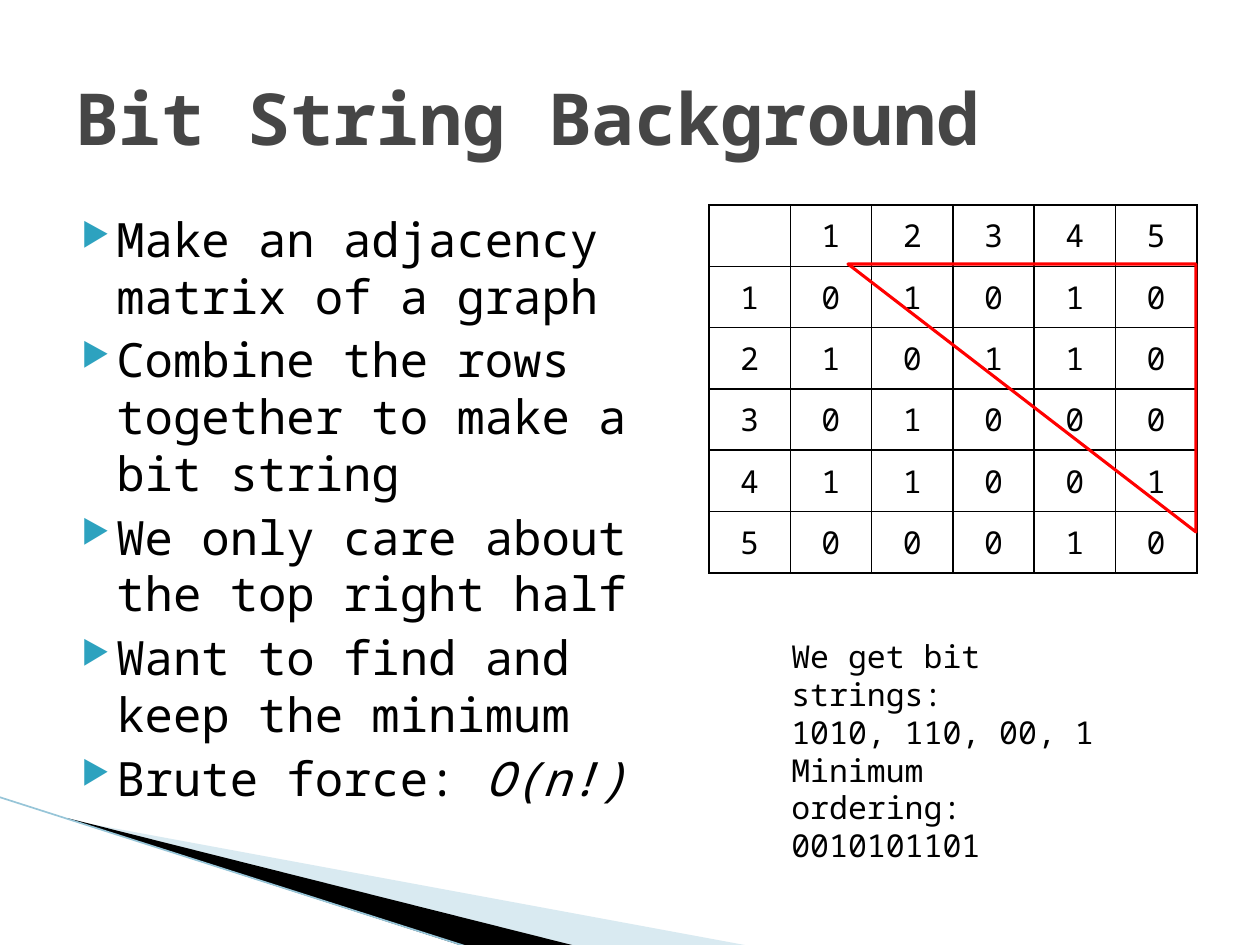
"""Build the slide about bit strings of an adjacency matrix."""
from lxml import etree
from pptx import Presentation
from pptx.dml.color import RGBColor
from pptx.enum.shapes import MSO_CONNECTOR, MSO_SHAPE
from pptx.enum.text import MSO_ANCHOR, PP_ALIGN
from pptx.oxml.ns import qn
from pptx.util import Pt

PX = 914400 // 126
FONT = "Noto Sans Mono"
MIDDLE, TOP = MSO_ANCHOR.MIDDLE, MSO_ANCHOR.TOP
CENTER, LEFT = PP_ALIGN.CENTER, PP_ALIGN.LEFT
COLORS = {"title": "464646", "text": "000000", "bullet": "2DA2BF", "pale": "A0CBDC",
          "edge": "97C5D8", "grid": "000000", "half": "FF0000"}


def color(name):
    return RGBColor.from_string(COLORS[name])


def write(frame, paragraphs, size=18, fill="text", bold=False, align=LEFT,
          anchor=TOP, bulleted=False):
    frame.word_wrap = True
    frame.vertical_anchor = anchor
    for index, runs in enumerate(paragraphs):
        paragraph = frame.paragraphs[0] if index == 0 else frame.add_paragraph()
        paragraph.alignment = align
        for position, words in enumerate(runs):
            run = paragraph.add_run()
            run.text = words
            run.font.name, run.font.size = FONT, Pt(size)
            run.font.bold, run.font.italic = bold, position == 1
            run.font.color.rgb = color(fill)
        if bulleted:
            paragraph.space_before = Pt(4)
            props = paragraph._p.get_or_add_pPr()
            props.set("marL", str(50 * PX))
            props.set("indent", str(-35 * PX))
            tint = etree.SubElement(props, qn("a:buClr"))
            etree.SubElement(tint, qn("a:srgbClr"), val=COLORS["bullet"])
            etree.SubElement(props, qn("a:buSzPct"), val="68000")
            etree.SubElement(props, qn("a:buChar"), char="▶")


prs = Presentation()
prs.slide_width, prs.slide_height = 1260 * PX, 945 * PX
slide = prs.slides.add_slide(prs.slide_layouts[6])
shapes = slide.shapes

WEDGES = [
    ("pale", 40, [(69, 820), (750, 946), (575, 946), (69, 819)]),
    ("text", 100, [(67, 818), (576, 946), (469, 948), (68, 819)]),
]
for fill, opacity, points in WEDGES:
    outline = shapes.build_freeform(*points[0], scale=PX)
    outline.add_line_segments(points[1:], close=True)
    wedge = outline.convert_to_shape()
    wedge.shadow.inherit = False
    wedge.fill.solid()
    wedge.fill.fore_color.rgb = color(fill)
    wedge.line.fill.background()
    if opacity < 100:
        tint = wedge._element.spPr.find(qn("a:solidFill"))[0]
        etree.SubElement(tint, qn("a:alpha"), val=str(opacity * 1000))

edge = shapes.add_connector(MSO_CONNECTOR.STRAIGHT, -1 * PX, 797 * PX, 468 * PX, 947 * PX)
edge.line.color.rgb = color("edge")
edge.line.width = Pt(0.95)
etree.SubElement(edge._element.spPr, qn("a:effectLst"))

ADJACENCY = ["01010", "10110", "01000", "11001", "00010"]
rows = [" 12345"] + [f"{node}{bits}" for node, bits in enumerate(ADJACENCY, 1)]
matrix = shapes.add_table(6, 6, 709 * PX, 205 * PX, 488 * PX, 368 * PX).table
matrix.first_row = matrix.horz_banding = False
for r, row in enumerate(rows):
    for c, digit in enumerate(row):
        cell = matrix.cell(r, c)
        write(cell.text_frame, [[digit.strip()]], align=CENTER)
        cell.vertical_anchor = MIDDLE
        props = cell._tc.get_or_add_tcPr()
        for side in ("a:lnL", "a:lnR", "a:lnT", "a:lnB"):
            border = etree.SubElement(props, qn(side), w=str(Pt(1)))
            solid = etree.SubElement(border, qn("a:solidFill"))
            etree.SubElement(solid, qn("a:srgbClr"), val=COLORS["grid"])
        cell.fill.background()

upper_half = shapes.add_shape(MSO_SHAPE.RIGHT_TRIANGLE, 848 * PX, 264 * PX, 348 * PX, 268 * PX)
upper_half.rotation = 180
upper_half.shadow.inherit = False
upper_half.fill.background()
upper_half.line.color.rgb = color("half")
upper_half.line.width = Pt(1.75)

TEXTS = [
    ((63, 38, 1134, 157), [["Bit String Background"]],
     {"size": 41, "fill": "title", "bold": True, "anchor": MIDDLE}),
    ((54, 204, 625, 624), [
        ["Make an adjacency matrix of a graph"],
        ["Combine the rows together to make a bit string"],
        ["We only care about the top right half"],
        ["Want to find and keep the minimum"],
        ["Brute force: ", "O(n!)"],
    ], {"size": 27, "bulleted": True}),
    ((779, 631, 338, 165), [
        ["We get bit strings:"], ["1010, 110, 00, 1"], ["Minimum ordering:"], ["0010101101"],
    ], {}),
]
for box, paragraphs, style in TEXTS:
    write(shapes.add_textbox(*(n * PX for n in box)).text_frame, paragraphs, **style)

prs.save("out.pptx")
